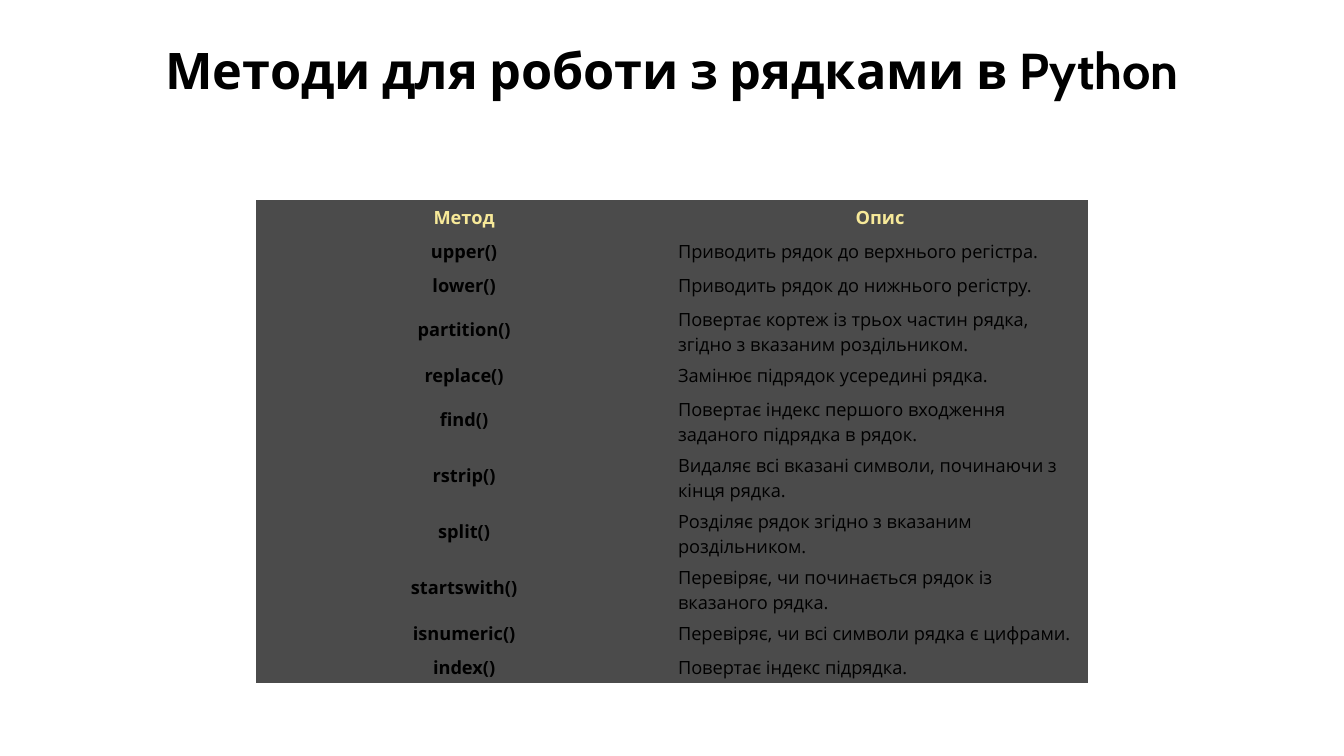
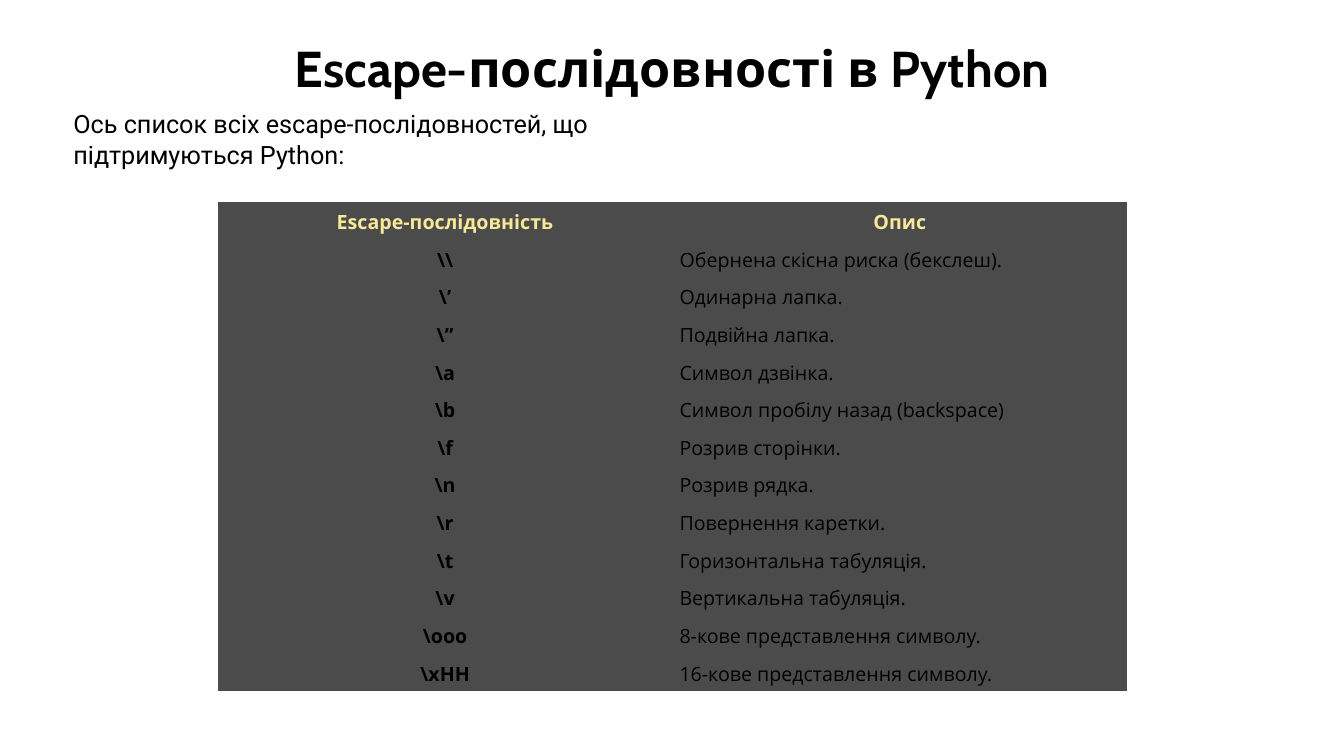
from pptx import Presentation
from pptx import util as u
from pptx.dml.color import RGBColor
from pptx.enum import text
from pptx.oxml.ns import qn

# Shared look
BLACK, CHARCOAL, YELLOW = "000000", "4B4B4B", "F7E999"
TITLE_FONT, TABLE_FONT, BODY_FONT = "Cabin", "Open Sans", "Roboto"
SLIDE_WIDTH, SLIDE_HEIGHT = 13.33, 7.5
PLAIN_TABLE_STYLE = "{2D5ABB26-0587-4C30-8999-92F81FD0307C}"
LINE_LIMIT = 44  # longer descriptions take two lines
ROW_UNITS = {False: 3, True: 5}  # relative height of one-line and two-line rows

# Content
SLIDES = [
    {
        "title": "Методи для роботи з рядками в Python",
        "title_top": 0.34,
        "table_box": (2.54, 1.98, 8.25, 4.78),
        "size": 13,
        "margin": 0.06,
        "rows": [
            ("Метод", "Опис"),
            ("upper()", "Приводить рядок до верхнього регістра."),
            ("lower()", "Приводить рядок до нижнього регістру."),
            ("partition()", "Повертає кортеж із трьох частин рядка, згідно з вказаним роздільником."),
            ("replace()", "Замінює підрядок усередині рядка."),
            ("find()", "Повертає індекс першого входження заданого підрядка в рядок."),
            ("rstrip()", "Видаляє всі вказані символи, починаючи з кінця рядка."),
            ("split()", "Розділяє рядок згідно з вказаним роздільником."),
            ("startswith()", "Перевіряє, чи починається рядок із вказаного рядка."),
            ("isnumeric()", "Перевіряє, чи всі символи рядка є цифрами."),
            ("index()", "Повертає індекс підрядка."),
        ],
    },
    {
        "title": "Escape-послідовності в Python",
        "title_top": 0.32,
        "intro": "Ось список всіх escape-послідовностей, що підтримуються Python:",
        "table_box": (2.16, 2, 9.02, 4.76),
        "size": 14,
        "margin": 0.07,
        "rows": [
            ("Escape-послідовність", "Опис"),
            (r"\\", "Обернена скісна риска (бекслеш)."),
            (r"\’", "Одинарна лапка."),
            (r"\”", "Подвійна лапка."),
            (r"\a", "Символ дзвінка."),
            (r"\b", "Символ пробілу назад (backspace)"),
            (r"\f", "Розрив сторінки."),
            (r"\n", "Розрив рядка."),
            (r"\r", "Повернення каретки."),
            (r"\t", "Горизонтальна табуляція."),
            (r"\v", "Вертикальна табуляція."),
            (r"\ooo", "8-кове представлення символу."),
            (r"\xHH", "16-кове представлення символу."),
        ],
    },
]


def color(value):
    return RGBColor.from_string(value)


def write(frame, words, font, size, ink=BLACK, bold=False, centered=False):
    para = frame.paragraphs[0]
    para.alignment = text.PP_ALIGN.CENTER if centered else text.PP_ALIGN.LEFT
    span = para.add_run()
    span.text = words
    span.font.name, span.font.size, span.font.bold = font, u.Pt(size), bold
    span.font.color.rgb = color(ink)


def fit_frame(box):
    frame = box.text_frame
    frame.word_wrap = True
    frame.auto_size = text.MSO_AUTO_SIZE.SHAPE_TO_FIT_TEXT
    frame.vertical_anchor = text.MSO_ANCHOR.TOP
    return frame


def add_title(page, words, top):
    box = page.shapes.title
    box.left, box.top = u.Inches(0), u.Inches(top)
    box.width, box.height = u.Inches(SLIDE_WIDTH), u.Inches(0.71)
    write(fit_frame(box), words, TITLE_FONT, 36, bold=True, centered=True)


def add_intro(page, words):
    box = page.shapes.add_textbox(*map(u.Inches, (0.63, 1.03, 6.67, 0.71)))
    write(fit_frame(box), words, BODY_FONT, 18)


def add_reference_table(page, rows, place, size, margin):
    holder = page.shapes.add_table(len(rows), 2, *map(u.Inches, place))
    table = holder.table
    table.horz_banding = False
    next(holder.element.iter(qn("a:tableStyleId"))).text = PLAIN_TABLE_STYLE

    # Row heights share the table height by number of lines
    units = [ROW_UNITS[len(description) > LINE_LIMIT] for _, description in rows]
    for row, share in zip(table.rows, units):
        row.height = u.Inches(place[3] * share / sum(units))

    for row_index, row in enumerate(rows):
        header = row_index == 0
        for column_index, words in enumerate(row):
            cell = table.cell(row_index, column_index)
            cell.fill.solid()
            cell.fill.fore_color.rgb = color(CHARCOAL)
            cell.vertical_anchor = text.MSO_ANCHOR.MIDDLE
            cell.margin_left = cell.margin_right = u.Inches(margin)
            cell.margin_top = cell.margin_bottom = u.Inches(margin)
            strong = header or column_index == 0
            write(cell.text_frame, words, TABLE_FONT, size,
                  YELLOW if header else BLACK, bold=strong, centered=strong)


def main():
    deck = Presentation()
    deck.slide_width, deck.slide_height = u.Inches(SLIDE_WIDTH), u.Inches(SLIDE_HEIGHT)
    for content in SLIDES:
        page = deck.slides.add_slide(deck.slide_layouts[5])
        if "intro" in content:
            add_intro(page, content["intro"])
        add_title(page, content["title"], content["title_top"])
        add_reference_table(page, content["rows"], content["table_box"],
                            content["size"], content["margin"])
    deck.save("out.pptx")


if __name__ == "__main__":
    main()
